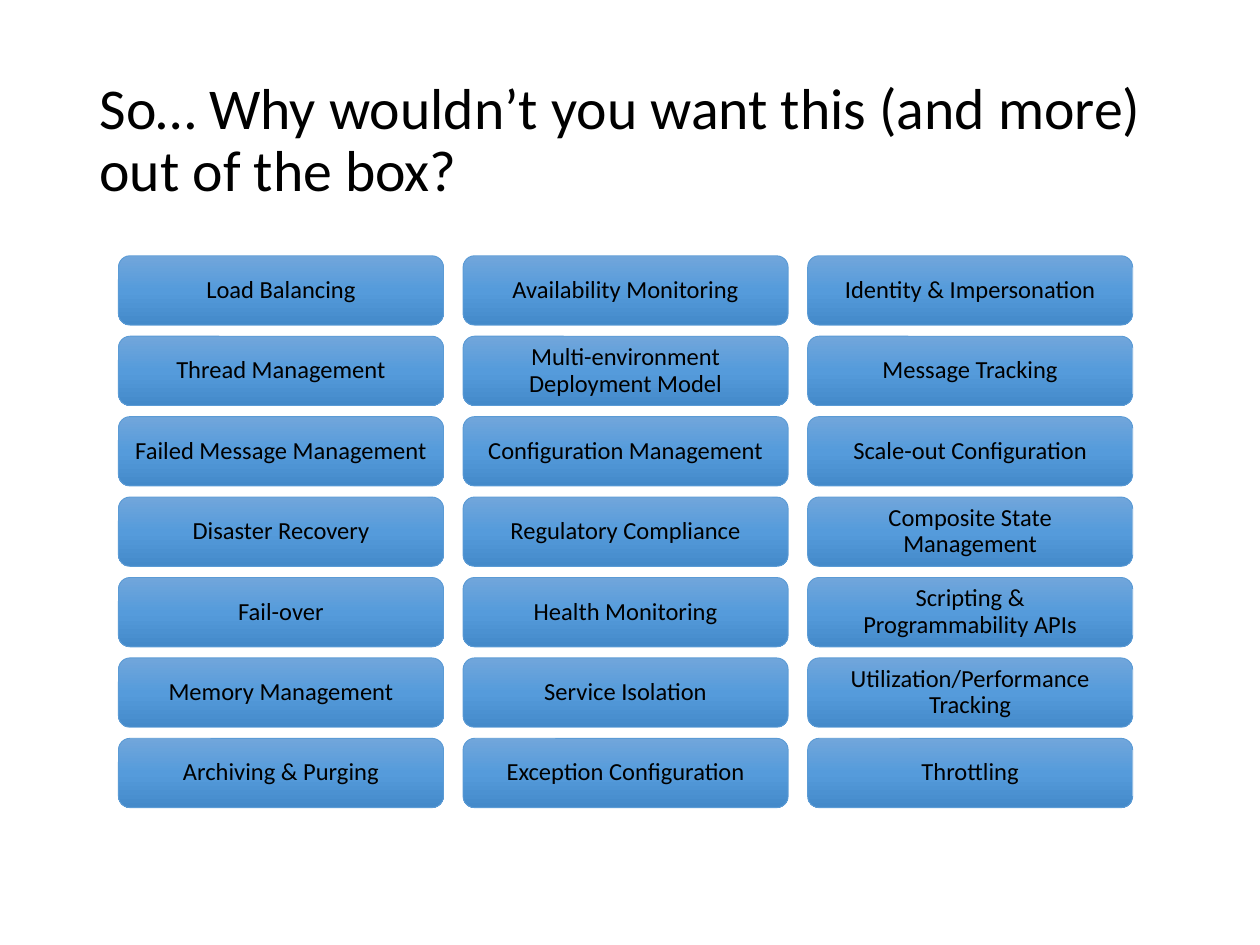
from copy import deepcopy

from pptx import Presentation
from pptx.dml.color import RGBColor
from pptx.enum.shapes import MSO_SHAPE
from pptx.enum.text import MSO_ANCHOR, MSO_AUTO_SIZE, PP_ALIGN
from pptx.oxml.ns import qn
from pptx.util import Inches, Pt

ROUND = MSO_SHAPE.ROUNDED_RECTANGLE
MIDDLE = MSO_ANCHOR.MIDDLE
NO_FIT = MSO_AUTO_SIZE.NONE
LEFT, CENTER = PP_ALIGN.LEFT, PP_ALIGN.CENTER

BLACK = RGBColor(0x00, 0x00, 0x00)
EDGE = RGBColor(0x5B, 0x9B, 0xD5)
SHADES = [
    (0, RGBColor(0x71, 0xA6, 0xDB)),
    (0.5, RGBColor(0x55, 0x9B, 0xDB)),
    (1, RGBColor(0x44, 0x8A, 0xCA)),
]

TITLE = "So… Why wouldn’t you want this (and more) out of the box?"
COLUMNS = [
    ["Load Balancing", "Thread Management", "Failed Message Management",
     "Disaster Recovery", "Fail-over", "Memory Management",
     "Archiving & Purging"],
    ["Availability Monitoring", "Multi-environment Deployment Model",
     "Configuration Management", "Regulatory Compliance",
     "Health Monitoring", "Service Isolation", "Exception Configuration"],
    ["Identity & Impersonation", "Message Tracking",
     "Scale-out Configuration", "Composite State Management",
     "Scripting &\vProgrammability APIs",
     "Utilization/Performance Tracking", "Throttling"],
]

# Grid of feature boxes, in inches
X, Y = 0.94, 2.03
WIDTH, HEIGHT = 2.58, 0.55
RIGHT, BOTTOM = 8.99, 6.41
STEP_X = (RIGHT - WIDTH - X) / (len(COLUMNS) - 1)
STEP_Y = (BOTTOM - HEIGHT - Y) / (len(COLUMNS[0]) - 1)


class Deck:
    """Holds the style and the current slide."""

    face = "Calibri"

    def __init__(self, slide):
        self.slide = slide

    def label(self, shape, text, size, align):
        frame = shape.text_frame
        frame.text = text
        frame.word_wrap = True
        frame.auto_size = NO_FIT
        frame.vertical_anchor = MIDDLE
        para = frame.paragraphs[0]
        para.alignment = align
        para.line_spacing = 0.9
        for run in para.runs:
            run.font.name = self.face
            run.font.size = Pt(size)
            run.font.color.rgb = BLACK

    def shade(self, shape):
        fill = shape.fill
        fill.gradient()
        # A new gradient has two stops; add the third
        stops = shape._element.spPr.find(".//" + qn("a:gsLst"))
        stops.append(deepcopy(stops[0]))
        for stop, (place, color) in zip(fill.gradient_stops, SHADES):
            stop.position = place
            stop.color.rgb = color
        fill.gradient_angle = 270

    def title(self, text):
        shape = self.slide.shapes.title
        shape.left, shape.top = Inches(0.69), Inches(0.4)
        shape.width, shape.height = Inches(8.62), Inches(1.45)
        self.label(shape, text, 33, LEFT)

    def box(self, text, x, y):
        shape = self.slide.shapes.add_shape(
            ROUND, Inches(x), Inches(y), Inches(WIDTH), Inches(HEIGHT))
        shape.shadow.inherit = False
        self.shade(shape)
        shape.line.color.rgb = EDGE
        shape.line.width = Pt(0.5)
        self.label(shape, text, 14, CENTER)


def main():
    prs = Presentation()
    prs.slide_width, prs.slide_height = Inches(10), Inches(7.5)
    deck = Deck(prs.slides.add_slide(prs.slide_layouts[5]))

    # Heading
    deck.title(TITLE)

    # Feature boxes
    for col, names in enumerate(COLUMNS):
        for row, name in enumerate(names):
            deck.box(name, X + col * STEP_X, Y + row * STEP_Y)

    prs.save("out.pptx")


if __name__ == "__main__":
    main()
